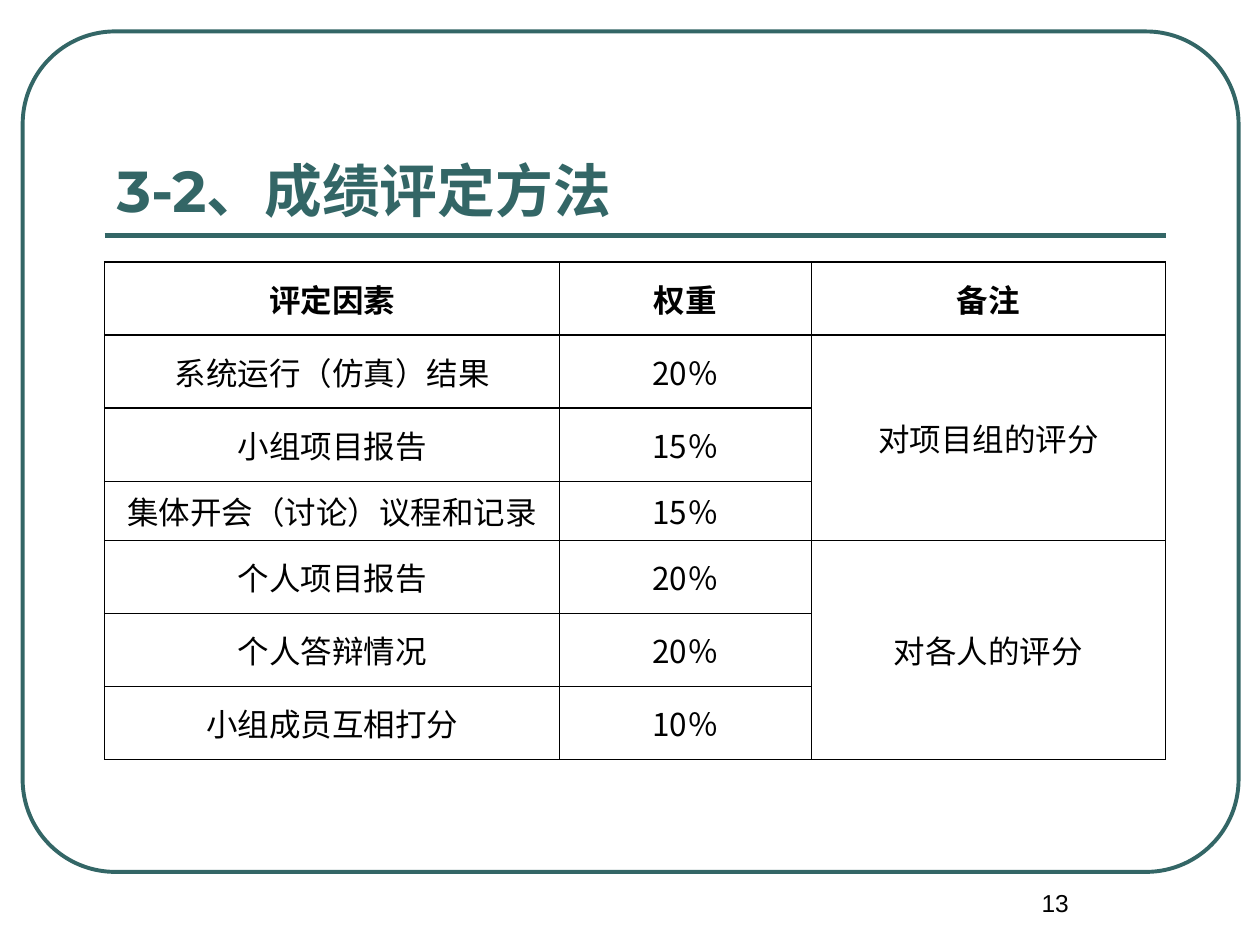
from lxml import etree
from pptx import Presentation
from pptx.dml.color import RGBColor
from pptx.enum.shapes import MSO_CONNECTOR, MSO_SHAPE
from pptx.enum.text import MSO_ANCHOR, PP_ALIGN
from pptx.oxml.ns import qn
from pptx.util import Inches, Pt


def color(hex_code):
    return RGBColor.from_string(hex_code)


class SlideBuilder:
    TEAL = "336666"
    BLACK = "000000"
    CJK = "Noto Sans CJK SC"

    def __init__(self, slide):
        self.slide = slide

    def set_text(self, frame, text, size, font, ink, bold=False, align=PP_ALIGN.CENTER):
        paragraph = frame.paragraphs[0]
        paragraph.text = text
        paragraph.alignment = align
        style = paragraph.font
        style.name, style.size, style.bold = font, Pt(size), bold
        style.color.rgb = color(ink)
        latin = style._element.find(qn("a:latin"))
        east_asian = etree.Element(qn("a:ea"), typeface=self.CJK)
        latin.addnext(east_asian)

    def stroke(self, line, width):
        line.color.rgb = color(self.TEAL)
        line.width = Pt(width)

    def frame(self, left, top, width, height, rounding):
        border = self.slide.shapes.add_shape(
            MSO_SHAPE.ROUNDED_RECTANGLE,
            Inches(left), Inches(top), Inches(width), Inches(height))
        border.adjustments[0] = rounding
        border.shadow.inherit = False
        border.fill.background()
        self.stroke(border.line, 2.25)

    def rule(self, left, right, y):
        underline = self.slide.shapes.add_connector(
            MSO_CONNECTOR.STRAIGHT,
            Inches(left), Inches(y), Inches(right), Inches(y))
        self.stroke(underline.line, 3)
        etree.SubElement(underline._element.spPr, qn("a:effectLst"))

    def text(self, left, top, width, height, text, anchor=MSO_ANCHOR.TOP, **style):
        box = self.slide.shapes.add_textbox(
            Inches(left), Inches(top), Inches(width), Inches(height))
        box.text_frame.word_wrap = True
        box.text_frame.vertical_anchor = anchor
        self.set_text(box.text_frame, text, **style)

    def cell_borders(self, cell):
        properties = cell._tc.get_or_add_tcPr()
        for side in ("lnL", "lnR", "lnT", "lnB"):
            edge = etree.SubElement(properties, qn(f"a:{side}"), w=str(Pt(1)))
            fill = etree.SubElement(edge, qn("a:solidFill"))
            etree.SubElement(fill, qn("a:srgbClr"), val=self.BLACK)

    def table(self, left, top, widths, heights, rows, merges):
        grid = self.slide.shapes.add_table(
            len(heights), len(widths), Inches(left), Inches(top),
            Inches(sum(widths)), Inches(sum(heights))).table
        grid.horz_banding = False
        for column, width in zip(grid.columns, widths):
            column.width = Inches(width)
        for row, height in zip(grid.rows, heights):
            row.height = Inches(height)
        for r, values in enumerate(rows):
            for c, value in enumerate(values):
                cell = grid.cell(r, c)
                self.cell_borders(cell)
                cell.fill.background()
                cell.vertical_anchor = MSO_ANCHOR.MIDDLE
                if value:
                    self.set_text(cell.text_frame, value, 18, self.CJK,
                                  self.BLACK, bold=r == 0)
        for first, last, column in merges:
            grid.cell(first, column).merge(grid.cell(last, column))


def main():
    deck = Presentation()
    deck.slide_width, deck.slide_height = Inches(10), Inches(7.5)
    builder = SlideBuilder(deck.slides.add_slide(deck.slide_layouts[6]))
    left, width = 0.83, 8.42

    # Frame and title rule
    builder.frame(0.18, 0.25, 9.65, 6.67, rounding=0.11)
    builder.rule(left, left + width, 1.87)

    # Page number and title
    builder.text(7.5, 7, 1.75, 0.5, "13", size=14, font="Arial", ink=builder.BLACK)
    builder.text(left, 0.58, width, 1.25, "3-2、成绩评定方法",
                 anchor=MSO_ANCHOR.BOTTOM, size=33, font="Montserrat",
                 ink=builder.TEAL, bold=True, align=PP_ALIGN.LEFT)

    # Grading table
    grading = [
        ("评定因素", "权重", "备注"),
        ("系统运行（仿真）结果", "20％", "对项目组的评分"),
        ("小组项目报告", "15％", ""),
        ("集体开会（讨论）议程和记录", "15％", ""),
        ("个人项目报告", "20％", "对各人的评分"),
        ("个人答辩情况", "20％", ""),
        ("小组成员互相打分", "10％", ""),
    ]
    heights = [0.58] * 3 + [0.47] + [0.58] * 3
    builder.table(left, 2.08, [3.61, 2, 2.81], heights, grading,
                  merges=[(1, 3, 2), (4, 6, 2)])

    deck.save("out.pptx")


if __name__ == "__main__":
    main()
